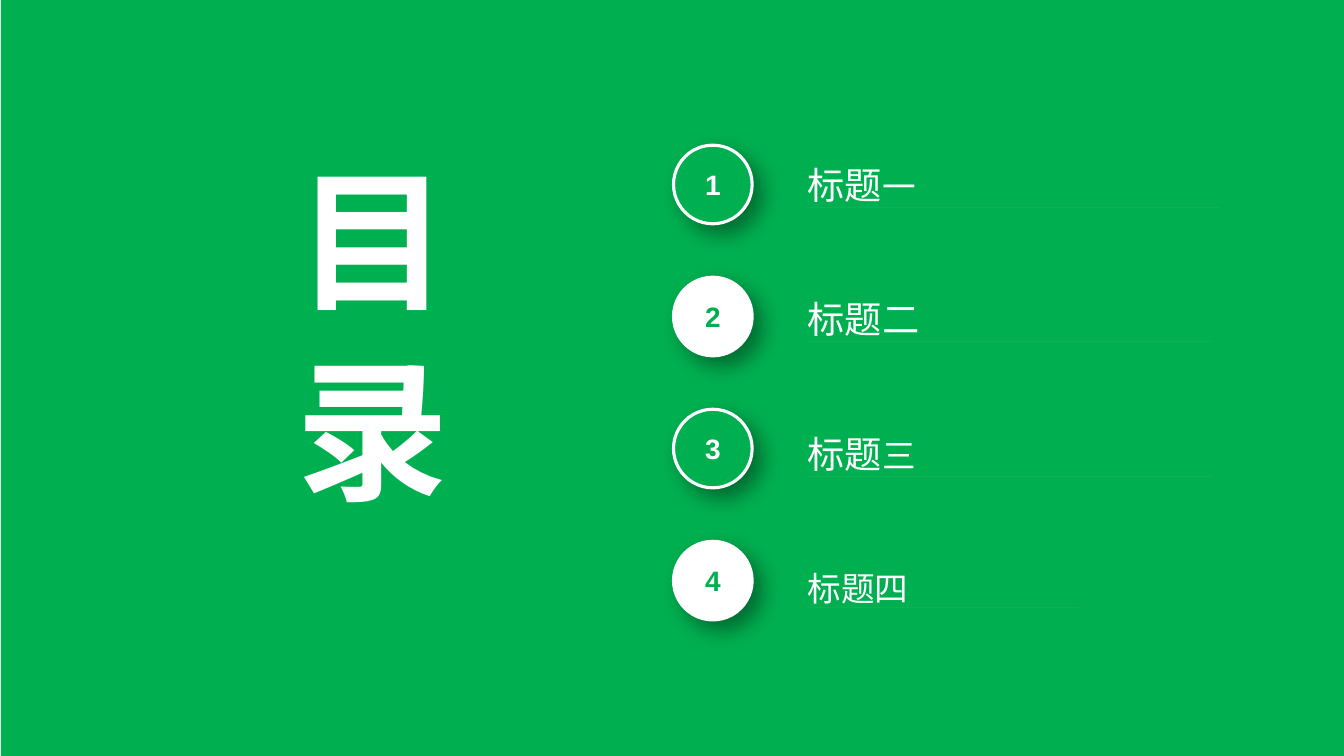
from lxml import etree
from pptx import Presentation
from pptx.dml.color import RGBColor
from pptx.enum.shapes import MSO_SHAPE as Shape
from pptx.enum.text import MSO_ANCHOR as Anchor, MSO_AUTO_SIZE as AutoSize, PP_ALIGN as Align
from pptx.oxml.ns import qn
from pptx.util import Inches, Pt

GREEN, WHITE, GRAY = "00B050", "FFFFFF", "A6A6A6"
HEADING = "目 录"
ENTRIES = [
    {"runs": [("标题", 26.6), ("一", 24)], "top": 1.61, "width": 4.1, "height": 0.45},
    {"runs": [("标题二", 26.6)], "top": 2.94, "width": 4, "height": 0.45},
    {"runs": [("标题", 26.6), ("三", 24)], "top": 4.28, "width": 4, "height": 0.45},
    {"runs": [("标题四", 24)], "top": 5.63, "width": 2.69, "height": 0.4},
]
CIRCLE_LEFT, CIRCLE_TOP, CIRCLE_SIZE, CIRCLE_PITCH = 6.68, 1.44, 0.78, 1.31
ENTRY_LEFT = 8.01


def color(value):
    return RGBColor.from_string(value)


def paint(shape, fill, line=None):
    shape.shadow.inherit = False
    shape.fill.solid()
    shape.fill.fore_color.rgb = color(fill)
    if line:
        shape.line.color.rgb = color(line)
        shape.line.width = Pt(2.25)
    else:
        shape.line.fill.background()


def write(box, runs, ink=WHITE, bold=False, align=Align.LEFT, grow=False, wrap=True):
    frame = box.text_frame
    frame.margin_left = frame.margin_right = frame.margin_top = frame.margin_bottom = 0
    frame.vertical_anchor = Anchor.MIDDLE
    frame.word_wrap = wrap
    if grow:
        frame.auto_size = AutoSize.SHAPE_TO_FIT_TEXT
    para = frame.paragraphs[0]
    para.alignment = align
    for text, size in runs:
        span = para.add_run()
        span.text = text
        span.font.size = Pt(size)
        span.font.bold = bold
        span.font.color.rgb = color(ink)
        span.font.name = "Arial"


def cast_shadow(shape):
    effects = shape._element.spPr.find(qn("a:effectLst"))
    shadow = etree.SubElement(
        effects, qn("a:outerShdw"), blurRad=str(Pt(16)), dist=str(Pt(9)),
        dir=str(45 * 60000), algn="tl", rotWithShape="0")
    black = etree.SubElement(shadow, qn("a:srgbClr"), val="000000")
    etree.SubElement(black, qn("a:alpha"), val="40000")


def add_circle(page, index):
    top = CIRCLE_TOP + index * CIRCLE_PITCH
    circle = page.shapes.add_shape(
        Shape.OVAL, Inches(CIRCLE_LEFT), Inches(top), Inches(CIRCLE_SIZE), Inches(CIRCLE_SIZE))
    fill, ink = (WHITE, GREEN) if index % 2 else (GREEN, WHITE)
    paint(circle, fill, WHITE)
    cast_shadow(circle)
    write(circle, [(str(index + 1), 20)], ink, bold=True, align=Align.CENTER)


def add_entry(page, runs, top, width, height):
    left, right = Inches(ENTRY_LEFT), Inches(ENTRY_LEFT + width)
    upper, lower = Inches(top), Inches(top + height)
    outline = page.shapes.build_freeform(left, lower)
    outline.add_line_segments([(right, lower), (left, lower)])
    outline.move_to(left, upper)
    outline.add_line_segments([(left, upper), (left, upper)])
    entry = outline.convert_to_shape()
    paint(entry, GRAY)
    write(entry, runs, grow=True)


def main():
    deck = Presentation()
    deck.slide_width, deck.slide_height = Inches(13.33), Inches(7.5)
    page = deck.slides.add_slide(deck.slide_layouts[6])
    backdrop = page.shapes.add_shape(
        Shape.RECTANGLE, Inches(0.01), 0, deck.slide_width, deck.slide_height)
    paint(backdrop, GREEN)

    heading = page.shapes.add_textbox(Inches(2.73), Inches(1.63), Inches(1.83), Inches(3.94))
    write(heading, [(HEADING, 109)], bold=True, align=Align.CENTER, grow=True)
    heading.text_frame._txBody.bodyPr.set("vert", "eaVert")

    for index, entry in enumerate(ENTRIES):
        add_circle(page, index)
        add_entry(page, **entry)
    deck.save("out.pptx")


if __name__ == "__main__":
    main()
